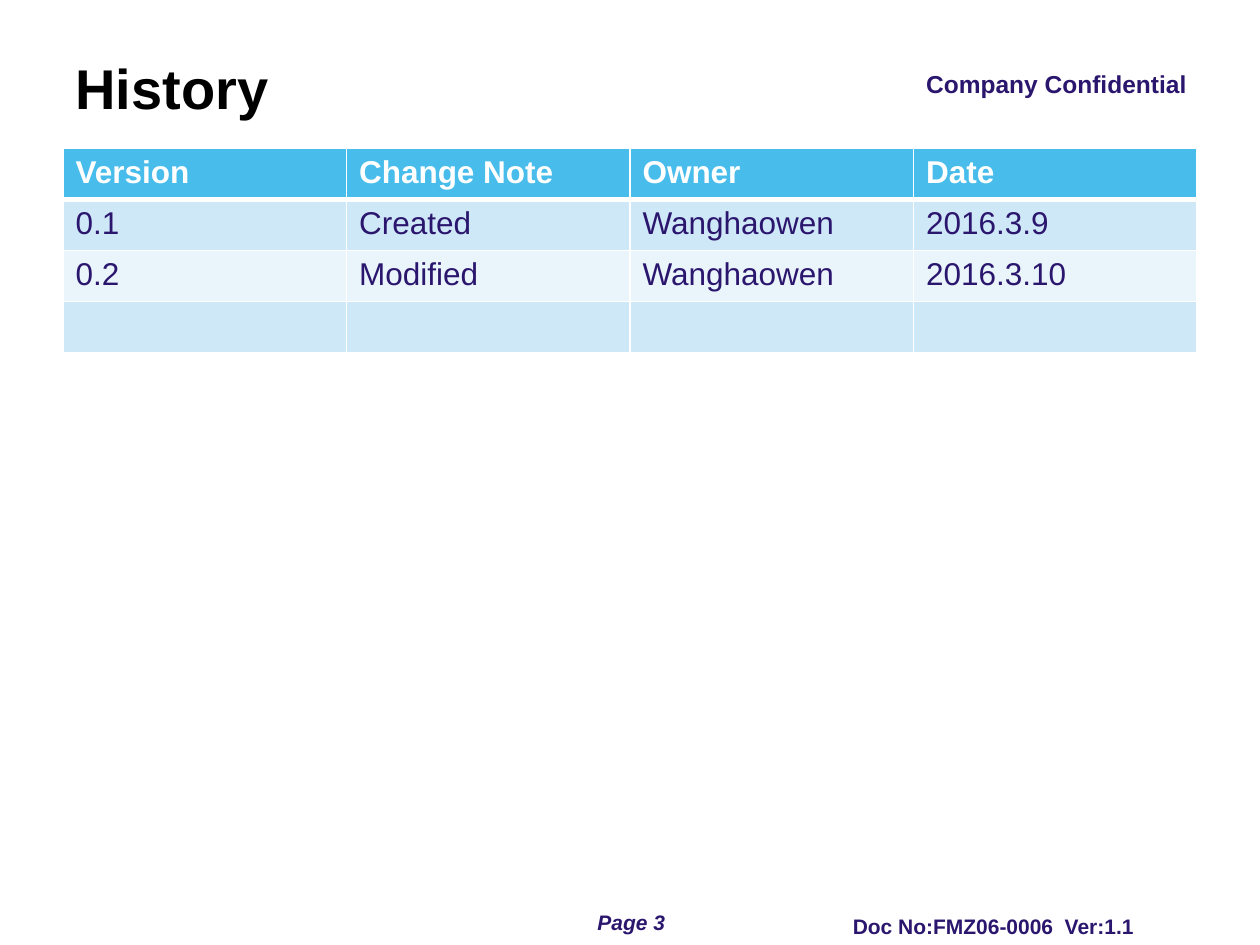
from lxml.etree import SubElement
from pptx import Presentation
from pptx.dml.color import RGBColor
from pptx.enum.text import MSO_ANCHOR, PP_ALIGN
from pptx.oxml.ns import qn
from pptx.util import Inches, Pt

COLORS = {
    "ink": "2B166E",
    "title": "000000",
    "white": "FFFFFF",
    "header": "48BDEC",
    "band_dark": "CFE8F8",
    "band_light": "E9F4FB",
}


def write_text(frame, text, size, color="ink", bold=True, italic=False, align=PP_ALIGN.LEFT):
    para = frame.paragraphs[0]
    para.alignment = align
    para.font.size = Pt(size)
    span = para.add_run()
    span.text = text
    span.font.name = "Arial"
    span.font.size = Pt(size)
    span.font.bold = bold
    span.font.italic = italic
    span.font.color.rgb = RGBColor.from_string(COLORS[color])


def add_border(cell, side, width):
    line = SubElement(cell._tc.get_or_add_tcPr(), qn(f"a:ln{side}"), w=str(Pt(width)))
    fill = SubElement(line, qn("a:solidFill"))
    SubElement(fill, qn("a:srgbClr"), val=COLORS["white"])


deck = Presentation()
deck.slide_width = Inches(10)
deck.slide_height = Inches(7.5)
page = deck.slides.add_slide(deck.slide_layouts[6])

page_number = page.shapes.add_textbox(Inches(4.5), Inches(7.14), Inches(1.02), Inches(0.36))
frame = page_number.text_frame
frame.word_wrap = True
frame.margin_left = frame.margin_right = frame.margin_bottom = 0
frame.margin_top = Inches(0.08)
write_text(frame, "Page 3", 12, italic=True, align=PP_ALIGN.CENTER)

document_number = page.shapes.add_textbox(Inches(6.67), Inches(7.2), Inches(2.44), Inches(0.3))
document_number.text_frame.word_wrap = False
write_text(document_number.text_frame, "Doc No:FMZ06-0006  Ver:1.1", 12)

confidential = page.shapes.add_textbox(Inches(7.25), Inches(0.5), Inches(2.27), Inches(0.39))
confidential.text_frame.word_wrap = True
write_text(confidential.text_frame, "Company Confidential", 14, align=PP_ALIGN.CENTER)

title = page.shapes.add_textbox(Inches(0.5), Inches(0.38), Inches(6.58), Inches(0.62))
title.text_frame.word_wrap = True
title.text_frame.vertical_anchor = MSO_ANCHOR.MIDDLE
write_text(title.text_frame, "History", 32, color="title")

history = [
    ["Version", "Change Note", "Owner", "Date"],
    ["0.1", "Created", "Wanghaowen", "2016.3.9"],
    ["0.2", "Modified", "Wanghaowen", "2016.3.10"],
    ["", "", "", ""],
]
row_fills = ["header", "band_dark", "band_light", "band_dark"]
table = page.shapes.add_table(
    len(history), len(history[0]), Inches(0.5), Inches(1.18), Inches(9), Inches(1.62)
).table

for row_index, (entries, row_fill) in enumerate(zip(history, row_fills)):
    is_header = row_index == 0
    for column_index, entry in enumerate(entries):
        cell = table.cell(row_index, column_index)
        for side in "LRTB":
            thick = (is_header and side == "B") or (row_index == 1 and side == "T")
            add_border(cell, side, 3 if thick else 1)
        cell.fill.solid()
        cell.fill.fore_color.rgb = RGBColor.from_string(COLORS[row_fill])
        if entry:
            write_text(cell.text_frame, entry, 18, color="white" if is_header else "ink", bold=is_header)

deck.save("out.pptx")
